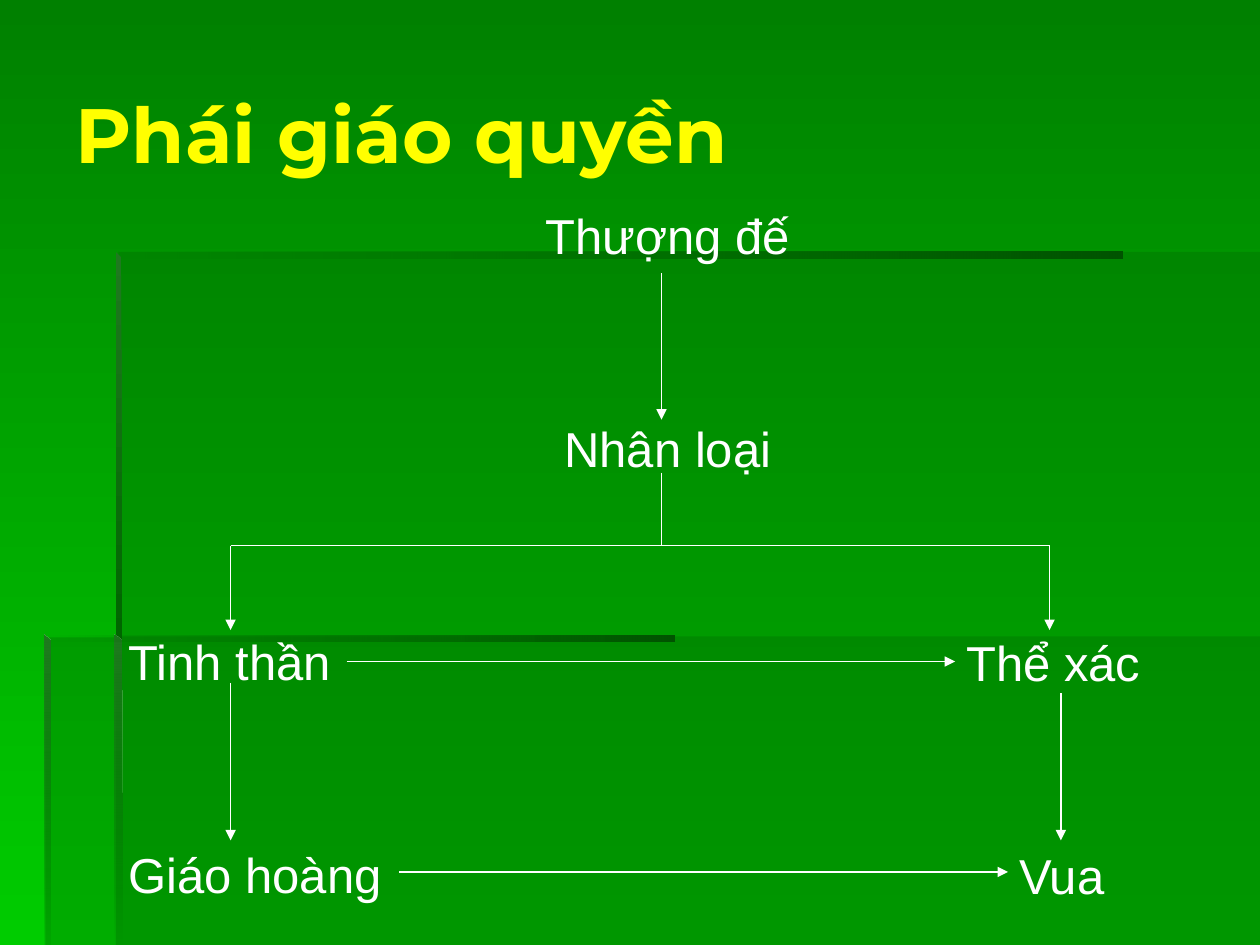
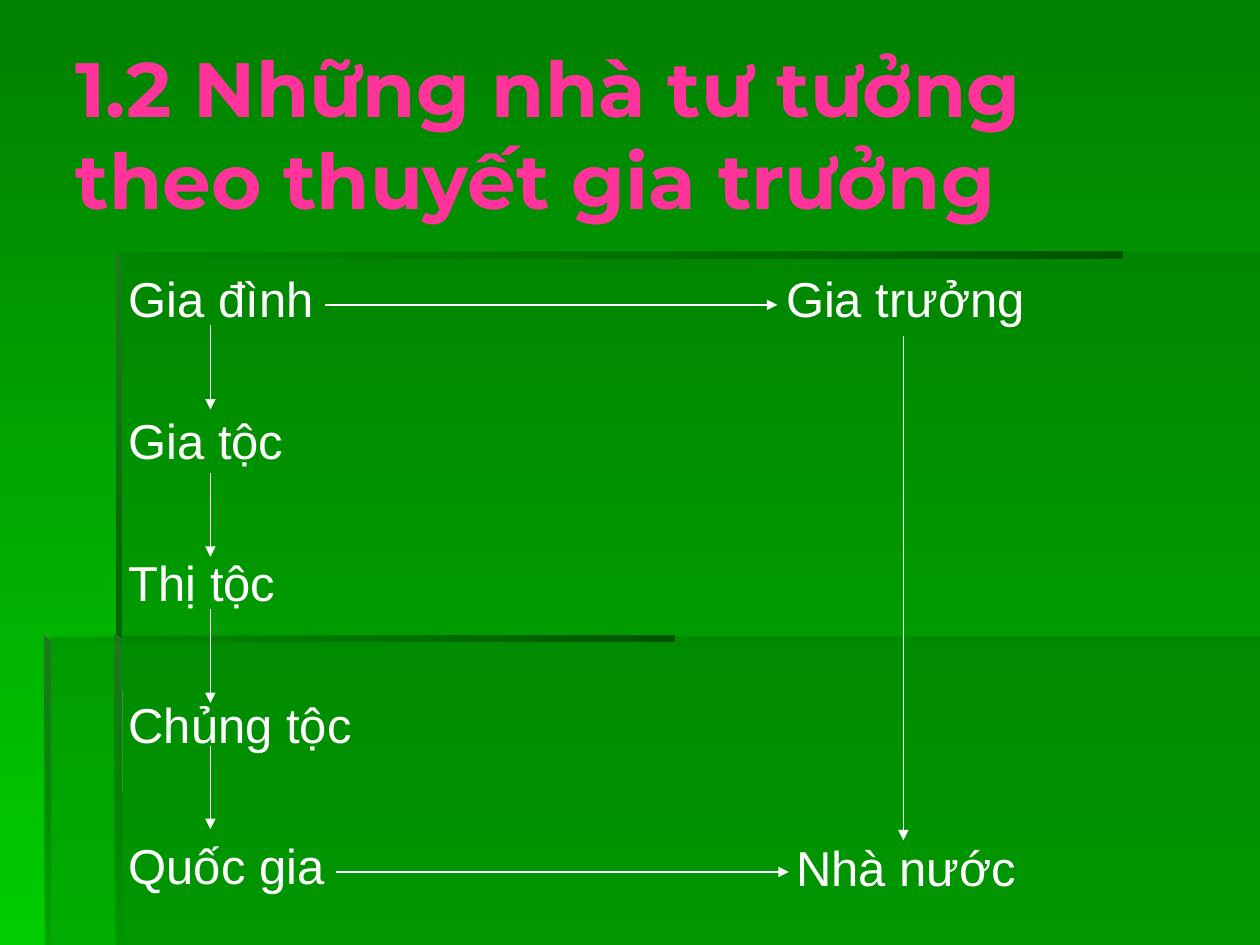
from collections import namedtuple

from lxml.etree import SubElement
from pptx import Presentation
from pptx.dml.color import RGBColor
from pptx.enum.shapes import MSO_CONNECTOR
from pptx.enum.text import MSO_ANCHOR, MSO_AUTO_SIZE, PP_ALIGN
from pptx.oxml.ns import qn
from pptx.util import Inches, Pt

Box = namedtuple("Box", "left top width height")

TITLE_BOX = Box(0.5, 0.27, 9.17, 1.57)
TITLE_FONT, BODY_FONT = "Montserrat", "Arial"
BODY_LINE = 33.9  # height of one body line in points
STEP = 1.13  # distance between levels in inches
WHITE, YELLOW, PINK = "FFFFFF", "FFFF00", "FF3399"
GREEN, BRIGHT_GREEN = "008000", "00CC00"
PANEL, EDGE_DARK, EDGE_LIGHT = "006600", "005400", "1F791F"
DOWN, RIGHTWARD = 270, 0

# Overlapping panels: outline points, 30 % opaque
PANELS = [
    [(0.92, 5.05), (0.92, 7.5), (10, 7.5), (10, 5.05)],
    [(0.94, 5.06), (0.36, 5.06), (0.36, 7.5), (10, 7.5), (10, 2), (0.94, 2)],
]
# Panel edges: outline points, (colour, opacity) at both ends, direction
TOP_FADE = [(PANEL, 0), (EDGE_DARK, 100)]
EDGES = [
    ([(0.92, 2), (0.92, 2.05), (8.91, 2.05), (8.91, 2)], TOP_FADE, RIGHTWARD),
    ([(0.92, 2), (0.92, 5.1), (0.97, 5.1), (0.96, 2.04)],
     [(EDGE_LIGHT, 100), (PANEL, 100)], DOWN),
    ([(0.91, 7.5), (0.97, 7.5), (0.96, 5.08), (0.91, 5.04)],
     [(EDGE_LIGHT, 100), (PANEL, 0)], DOWN),
    ([(0.35, 5.04), (0.35, 5.09), (5.35, 5.09), (5.35, 5.04)], TOP_FADE, RIGHTWARD),
    ([(0.35, 5.04), (0.35, 7.5), (0.4, 7.5), (0.4, 5.09)],
     [(EDGE_LIGHT, 100), (PANEL, 10)], DOWN),
]


def colour(hex_string):
    return RGBColor.from_string(hex_string)


def set_gradient(fill, colours, angle):
    fill.gradient()
    fill.gradient_angle = angle
    for stop, hex_string in zip(fill.gradient_stops, colours):
        stop.color.rgb = colour(hex_string)


def set_opacity(shape, percents):
    fills = shape.element.spPr.iter(qn("a:srgbClr"))
    for fill_colour, percent in zip(fills, percents):
        if percent < 100:
            SubElement(fill_colour, qn("a:alpha"), val=str(percent * 1000))


def draw_outline(slide, points):
    corners = [(Inches(x), Inches(y)) for x, y in points]
    builder = slide.shapes.build_freeform(*corners[0], scale=1.0)
    builder.add_line_segments(corners[1:], close=True)
    outline = builder.convert_to_shape()
    outline.shadow.inherit = False
    outline.line.fill.background()
    return outline


def decorate_master(master, slide):
    """Background, panels and edges shared by every slide."""
    set_gradient(master.background.fill, [GREEN, BRIGHT_GREEN], DOWN)
    parts = []
    for points in PANELS:
        panel = draw_outline(slide, points)
        panel.fill.solid()
        panel.fill.fore_color.rgb = colour(PANEL)
        set_opacity(panel, [30])
        parts.append(panel)
    for points, ends, angle in EDGES:
        edge = draw_outline(slide, points)
        set_gradient(edge.fill, [end[0] for end in ends], angle)
        set_opacity(edge, [end[1] for end in ends])
        parts.append(edge)
    # Outlines can only be drawn on a slide, so move them behind the master's text
    for position, part in enumerate(parts, start=2):
        master.shapes.element.insert(position, part.element)


def place(shape, box):
    shape.left, shape.top, shape.width, shape.height = map(Inches, box)


def style_run(paragraph, text, font_name, size, hex_string, bold=False):
    run = paragraph.add_run()
    run.text = text
    run.font.name, run.font.size, run.font.bold = font_name, Pt(size), bold
    run.font.color.rgb = colour(hex_string)


def write_title(slide, text, hex_string):
    title = slide.shapes.title
    place(title, TITLE_BOX)
    frame = title.text_frame
    frame.auto_size, frame.vertical_anchor = MSO_AUTO_SIZE.NONE, MSO_ANCHOR.MIDDLE
    frame.paragraphs[0].alignment = PP_ALIGN.LEFT
    style_run(frame.paragraphs[0], text, TITLE_FONT, 44, hex_string, bold=True)


def write_levels(slide, box, levels, pitch):
    """Levels of the main column: text and alignment, one every pitch inches."""
    body = slide.placeholders[1]
    place(body, box)
    frame = body.text_frame
    frame.auto_size, frame.vertical_anchor = MSO_AUTO_SIZE.NONE, MSO_ANCHOR.TOP
    for index, (text, alignment) in enumerate(levels):
        paragraph = frame.paragraphs[0] if index == 0 else frame.add_paragraph()
        paragraph.alignment = alignment
        paragraph.space_before = Pt(pitch * 72 - BODY_LINE if index else 0)
        properties = paragraph._p.get_or_add_pPr()
        properties.set("marL", "0")
        properties.set("indent", "0")
        SubElement(properties, qn("a:buNone"))
        style_run(paragraph, text, BODY_FONT, 28, WHITE)


def write_counterpart(slide, box, text, x, y):
    """Label of the right column, level with a line of the main column."""
    label = slide.shapes.add_textbox(
        *map(Inches, (box.left + x, box.top + y, box.width - x, 0.57)))
    label.text_frame.word_wrap = True
    style_run(label.text_frame.paragraphs[0], text, BODY_FONT, 28, WHITE)


def draw_line(slide, box, start, end, arrow=True):
    ends = [Inches(offset + value) for point in (start, end)
            for offset, value in zip((box.left, box.top), point)]
    line = slide.shapes.add_connector(MSO_CONNECTOR.STRAIGHT, *ends)
    line.line.width = Pt(0.75)
    line.line.color.rgb = colour(WHITE)
    if arrow:
        SubElement(line.line._get_or_add_ln(), qn("a:tailEnd"), type="triangle")
    SubElement(line.element.spPr, qn("a:effectLst"))


def church_slide(slide, box):
    pitch = 1.5 * STEP
    write_title(slide, "Phái giáo quyền", YELLOW)
    write_levels(slide, box, [
        ("Thượng đế", PP_ALIGN.CENTER),
        ("Nhân loại", PP_ALIGN.CENTER),
        ("Tinh thần", PP_ALIGN.LEFT),
        ("Giáo hoàng", PP_ALIGN.LEFT),
    ], pitch)
    write_counterpart(slide, box, "Thể xác", 6.65, 2 * pitch)
    write_counterpart(slide, box, "Vua", 7.07, 3 * pitch)
    # God to mankind, then the fork to spirit and body
    trunk, spirit, flesh, fork = 4.33, 0.91, 7.41, 2.75
    draw_line(slide, box, (trunk, 0.59), (trunk, 1.75))
    draw_line(slide, box, (trunk, 2.17), (trunk, fork), arrow=False)
    draw_line(slide, box, (spirit, fork), (flesh, fork), arrow=False)
    for x in (spirit, flesh):
        draw_line(slide, box, (x, fork), (x, 3.42))
    # Spirit to pope, body to king
    draw_line(slide, box, (spirit, 3.84), (spirit, 5.09))
    draw_line(slide, box, (7.5, 3.92), (7.5, 5.09))
    # Left column rules the right one
    for x, y in ((1.83, 3.67), (2.25, 5.34)):
        draw_line(slide, box, (x, y), (x + 4.83, y))


def family_slide(slide, box):
    write_title(slide, "1.2 Những nhà tư tưởng theo thuyết gia trưởng", PINK)
    stages = ["Gia đình", "Gia tộc", "Thị tộc", "Chủng tộc", "Quốc gia"]
    write_levels(slide, box, [(stage, PP_ALIGN.LEFT) for stage in stages], STEP)
    write_counterpart(slide, box, "Gia trưởng", 5.22, 0)
    write_counterpart(slide, box, "Nhà nước", 5.3, 4 * STEP)
    # Family grows step by step into the nation
    for top, bottom in ((0.5, 1.17), (1.67, 2.34), (2.75, 3.5), (3.84, 4.5)):
        draw_line(slide, box, (0.75, top), (0.75, bottom))
    # Patriarch becomes the state
    draw_line(slide, box, (6.25, 0.59), (6.25, 4.59))
    for x, y in ((1.66, 0.34), (1.75, 4.84)):
        draw_line(slide, box, (x, y), (x + 3.59, y))


def main():
    prs = Presentation()
    prs.slide_width, prs.slide_height = Inches(10), Inches(7.5)
    layout = prs.slide_layouts[1]
    church = prs.slides.add_slide(layout)
    decorate_master(prs.slide_master, church)
    church_slide(church, Box(0.92, 1.58, 8.76, 5.67))
    family_slide(prs.slides.add_slide(layout), Box(0.92, 2.08, 8.76, 5.17))
    prs.save("out.pptx")


if __name__ == "__main__":
    main()
